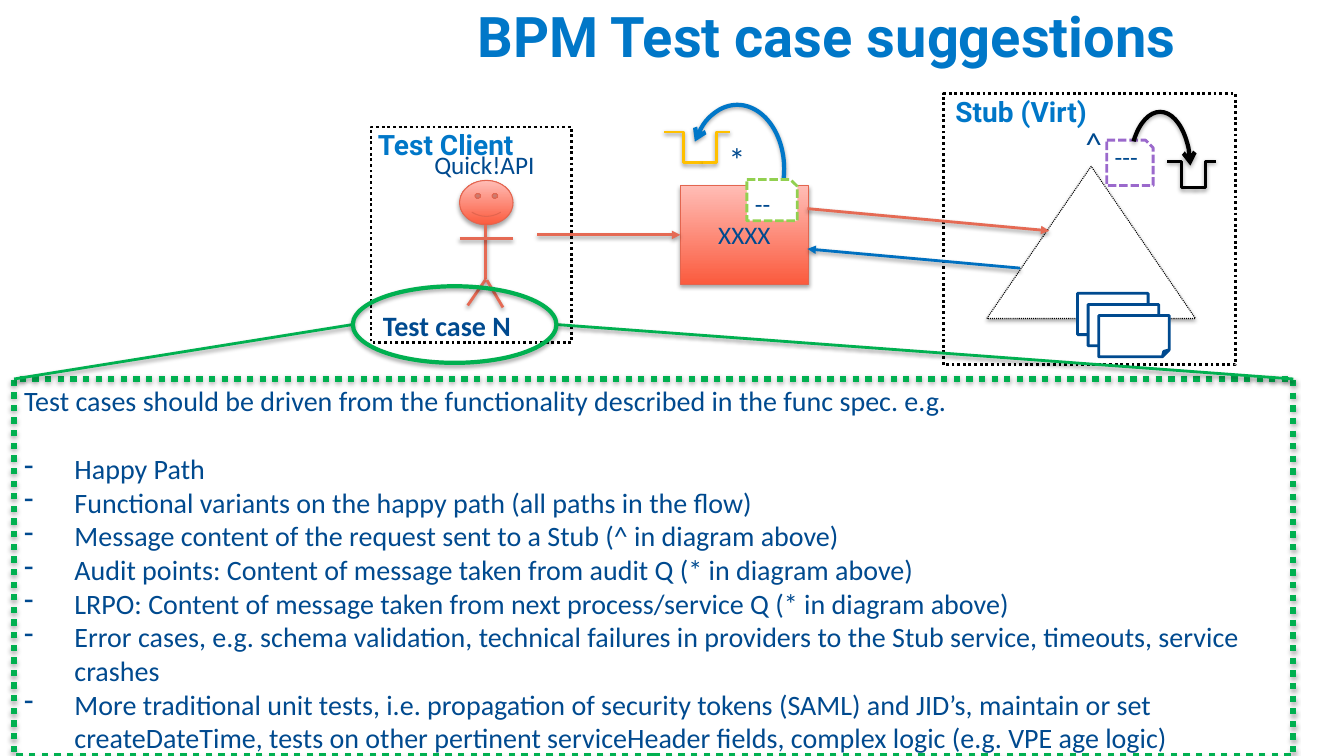
"""Build the slide of BPM test case suggestions on a grid of tenth-of-an-inch cells."""
from dataclasses import dataclass
from typing import Any, Optional, Union

from lxml.etree import SubElement
from pptx import Presentation
from pptx.dml.color import RGBColor
from pptx.enum.dml import MSO_LINE as Dash
from pptx.enum.shapes import MSO_CONNECTOR as Route, MSO_SHAPE as Form
from pptx.enum.text import MSO_ANCHOR as Anchor, MSO_AUTO_SIZE as AutoSize, PP_ALIGN as Align
from pptx.oxml.ns import qn
from pptx.util import Inches, Pt


@dataclass(frozen=True)
class Theme:
    """Colours, fonts and type sizes of the slide."""
    heading: str = "0077C8"
    ink: str = "004A8F"
    black: str = "000000"
    white: str = "FFFFFF"
    coral: str = "E56A54"
    coral_edge: str = "E3654F"
    coral_ramp: tuple[str, str] = ("FB5B3E", "FFBDB6")
    blue: str = "0070C0"
    green: str = "00B050"
    lime: str = "92D050"
    violet: str = "9B69CC"
    amber: str = "FFC000"
    heading_font: str = "Roboto"
    body_font: str = "Calibri"
    title: int = 40
    mark: int = 24
    body: int = 20
    small: int = 18


THEME = Theme()
COLUMNS, ROWS = 133.33, 75


@dataclass(frozen=True)
class Figure:
    """A preset shape: column, row, columns wide, rows high."""
    form: Form
    area: tuple[float, float, float, float]
    line: str
    width: float = 2
    fill: Union[str, tuple[str, str], None] = None
    dash: Optional[Dash] = None
    shadow: bool = False
    angles: tuple[float, ...] = ()
    flip: bool = False
    text: str = ""
    name: str = ""


@dataclass(frozen=True)
class Label:
    """A text box with one or more paragraphs."""
    text: str
    area: tuple[float, float, float, float]
    size: int = THEME.small
    color: str = THEME.ink
    font: str = THEME.body_font
    bold: bool = False
    wrap: bool = True
    bullets: tuple[str, ...] = ()


@dataclass(frozen=True)
class Link:
    """A connector between two grid points, with an optional joined end."""
    start: tuple[float, float]
    end: tuple[float, float]
    color: str
    arrow: bool = False
    route: Route = Route.STRAIGHT
    joins: str = ""
    side: int = 1


def heading(text: str, area: tuple[float, float, float, float], size: int = THEME.body) -> Label:
    """Return a bold label in the heading style."""
    return Label(text, area, size, THEME.heading, THEME.heading_font, True)


def bracket(left: float, middle: float, right: float, top: float, bottom: float, color: str) -> list[Link]:
    """Return two elbows that form a queue symbol."""
    return [Link((side, top), (middle, bottom), color, route=Route.ELBOW) for side in (left, right)]


BULLETS = (
    "Happy Path",
    "Functional variants on the happy path (all paths in the flow)",
    "Message content of the request sent to a Stub (^ in diagram above)",
    "Audit points: Content of message taken from audit Q (* in diagram above)",
    "LRPO: Content of message taken from next process/service Q (* in diagram above)",
    "Error cases, e.g. schema validation, technical failures in providers to the Stub service, "
    "timeouts, service crashes",
    "More traditional unit tests, i.e. propagation of security tokens (SAML) and JID’s, maintain or set "
    "createDateTime, tests on other pertinent serviceHeader fields, complex logic (e.g. VPE age logic)",
)
LIMBS = (((48.2, 22.3), (48.2, 27.7)), ((45.6, 23.7), (50.9, 23.7)),
         ((48.2, 27.7), (46.4, 30.3)), ((48.3, 27.8), (49.9, 30.5)))

STUB = [
    Figure(Form.RECTANGLE, (93.6, 9.3, 29, 26.9), THEME.black, fill=THEME.white, dash=Dash.ROUND_DOT),
    Figure(Form.ISOSCELES_TRIANGLE, (97.9, 16.5, 20.7, 15.1), THEME.black, 0.75, THEME.white,
           Dash.ROUND_DOT, True),
    heading("Stub (Virt)", (93.8, 8.9, 15.8, 4.4)),
    *bracket(115.8, 118.6, 120.6, 16, 18.6, THEME.black),
    Figure(Form.SNIP_1_RECTANGLE, (109.8, 13.9, 4.6, 4.5), THEME.violet, fill=THEME.white,
           dash=Dash.SQUARE_DOT),
    Label("---", (109.6, 13.5, 4.3, 4)),
    Figure(Form.ARC, (112.1, 11.1, 6, 11.2), THEME.black, 3, shadow=True, angles=(135.26, 212.95)),
]
CLIENT = [
    Figure(Form.RECTANGLE, (36.8, 12.6, 19.9, 21.4), THEME.black, fill=THEME.white, dash=Dash.ROUND_DOT),
    Figure(Form.SMILEY_FACE, (45.6, 17.9, 5.3, 4.4), THEME.coral_edge, 0.75, THEME.coral_ramp, shadow=True),
    Label("Quick!API", (42.1, 14.3, 12.5, 7.1), wrap=False),
    *[Link(start, end, THEME.coral) for start, end in LIMBS],
    heading("Test Client", (36.5, 12.2, 15.8, 4.4)),
]
PROCESS = [
    Figure(Form.RECTANGLE, (67.5, 18.4, 12.7, 9.8), THEME.coral_edge, 0.75, THEME.coral_ramp,
           shadow=True, text="XXXX", name="process"),
    Link((53.3, 23.3), (67.5, 23.3), THEME.coral, True, joins="process"),
    Link((80.1, 20.7), (104.1, 22.9), THEME.coral, True),
    Link((101.2, 26.6), (80.1, 24.7), THEME.blue, True),
    Figure(Form.ARC, (68.5, 10.4, 9.3, 12.7), THEME.heading, 3, shadow=True, angles=(92.77, 196.42), flip=True),
    *bracket(65.9, 69.7, 72.4, 13.1, 16.1, THEME.amber),
    Figure(Form.SNIP_1_RECTANGLE, (74.1, 17.8, 5, 4.1), THEME.lime, fill=THEME.white, dash=Dash.SQUARE_DOT),
    Label("--", (73.9, 18.2, 4.5, 4)),
]
DETAIL = [
    Label("Test cases should be driven from the functionality described in the func spec. e.g.",
          (1.4, 37.6, 128.9, 38), THEME.body, bullets=BULLETS),
    Label("*", (71.3, 13.3, 3.7, 5), THEME.mark, wrap=False),
    Label("^", (106.7, 11.7, 3.3, 5), THEME.mark),
    Label("Test case N", (37, 30.1, 14.8, 4.4), THEME.body, bold=True, wrap=False),
    Figure(Form.RECTANGLE, (1.4, 37.6, 126.9, 37.4), THEME.green, 4.5, dash=Dash.ROUND_DOT, shadow=True),
    Link((35, 32.2), (1.4, 37.6), THEME.green),
    Link((128.3, 37.6), (55.2, 32.2), THEME.green),
    Figure(Form.OVAL, (35, 28.4, 20.2, 7.6), THEME.green, 3, shadow=True),
]
MESSAGES = [Figure(Form.FOLDED_CORNER, (106.9 + 1.05 * i, 29.1 + 1.1 * i, 7, 4.1), THEME.ink, fill=THEME.white)
            for i in range(3)]
SCENE = [heading("BPM Test case suggestions", (46.4, -0.3, 87.6, 7.7), THEME.title),
         *STUB, *CLIENT, *PROCESS, *DETAIL, *MESSAGES]


def cells(*counts: float) -> list[int]:
    """Convert grid cells to slide lengths."""
    return [Inches(count / 10) for count in counts]


def assign(target: Any, values: dict[str, Any]) -> None:
    """Set every attribute in the dict on the target."""
    for name, value in values.items():
        setattr(target, name, value)


def add_shadow(item: Any, alpha: int, distance: float) -> None:
    """Give the item a soft shadow straight below it."""
    properties = item.element.spPr
    effects = properties.find(qn("a:effectLst"))
    if effects is None:
        effects = SubElement(properties, qn("a:effectLst"))
    outer = SubElement(effects, qn("a:outerShdw"), blurRad=str(Pt(3.1)), dist=str(Pt(distance)),
                       dir="5400000", rotWithShape="0")
    tint = SubElement(outer, qn("a:srgbClr"), val=THEME.black)
    SubElement(tint, qn("a:alpha"), val=str(alpha * 1000))


def add_arrowhead(item: Any, kind: str) -> None:
    """Put an arrowhead on the end of the item's line."""
    SubElement(item.element.spPr.find(qn("a:ln")), qn("a:tailEnd"), type=kind)


def write(para: Any, text: str, size: int, color: str, font: str, bold: bool) -> None:
    """Add one formatted span to the paragraph."""
    span = para.add_run()
    span.text = text
    assign(span.font, {"size": Pt(size), "name": font, "bold": bold})
    span.font.color.rgb = RGBColor.from_string(color)


def draw_figure(page: Any, figure: Figure, named: dict[str, Any]) -> None:
    """Draw a preset shape."""
    shape = page.shapes.add_shape(figure.form, *cells(*figure.area))
    shape.shadow.inherit = False
    if isinstance(figure.fill, tuple):
        shape.fill.gradient()
        shape.fill.gradient_angle = 90
        for stop, color in zip(shape.fill.gradient_stops, figure.fill):
            stop.color.rgb = RGBColor.from_string(color)
    elif figure.fill:
        shape.fill.solid()
        shape.fill.fore_color.rgb = RGBColor.from_string(figure.fill)
    else:
        shape.fill.background()
    shape.line.color.rgb = RGBColor.from_string(figure.line)
    assign(shape.line, {"width": Pt(figure.width), "dash_style": figure.dash})
    for index, angle in enumerate(figure.angles):
        shape.adjustments[index] = angle
    if figure.angles:
        add_arrowhead(shape, "arrow")
    if figure.flip:
        shape.element.spPr.find(qn("a:xfrm")).set("flipH", "1")
    if figure.shadow:
        add_shadow(shape, 35, 1.8)
    if figure.text:
        shape.text_frame.vertical_anchor = Anchor.MIDDLE
        para = shape.text_frame.paragraphs[0]
        para.alignment = Align.CENTER
        write(para, figure.text, THEME.small, THEME.ink, THEME.body_font, False)
    if figure.name:
        named[figure.name] = shape


def draw_label(page: Any, label: Label, named: dict[str, Any]) -> None:
    """Draw a text box, with dash bullets below the first paragraph if any."""
    frame = page.shapes.add_textbox(*cells(*label.area)).text_frame
    assign(frame, {"word_wrap": label.wrap, "auto_size": AutoSize.SHAPE_TO_FIT_TEXT})
    style = (label.size, label.color, label.font, label.bold)
    first = frame.paragraphs[0]
    write(first, label.text, *style)
    if label.bullets:
        first.space_after = Pt(label.size * 1.22)
    for text in label.bullets:
        para = frame.add_paragraph()
        properties = para._p.get_or_add_pPr()
        assign_indent = {"marL": Inches(0.5), "indent": -Inches(0.5)}
        for name, value in assign_indent.items():
            properties.set(name, str(value))
        SubElement(properties, qn("a:buChar"), char="-")
        write(para, text, *style)


def draw_link(page: Any, link: Link, named: dict[str, Any]) -> None:
    """Draw a connector."""
    connector = page.shapes.add_connector(link.route, *cells(*link.start, *link.end))
    connector.line.color.rgb = RGBColor.from_string(link.color)
    connector.line.width = Pt(2)
    if link.arrow:
        add_arrowhead(connector, "triangle")
    add_shadow(connector, 38, 1.6)
    if link.joins:
        connector.end_connect(named[link.joins], link.side)


def main() -> None:
    """Draw the scene and save the deck."""
    deck = Presentation()
    deck.slide_width, deck.slide_height = cells(COLUMNS, ROWS)
    page = deck.slides.add_slide(deck.slide_layouts[6])
    painters = {Figure: draw_figure, Label: draw_label, Link: draw_link}
    named: dict[str, Any] = {}
    for item in SCENE:
        painters[type(item)](page, item, named)
    deck.save("out.pptx")


if __name__ == "__main__":
    main()
